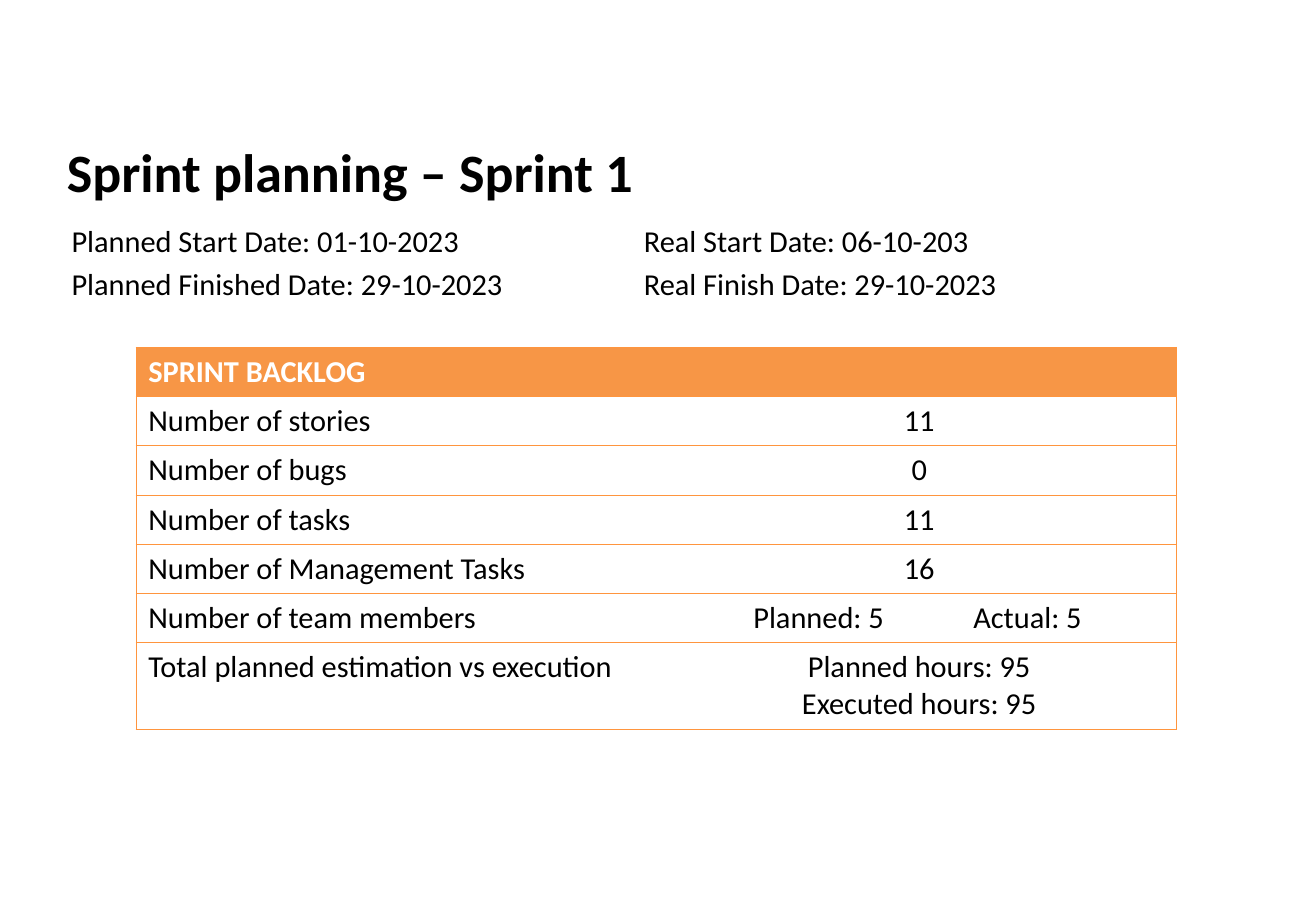
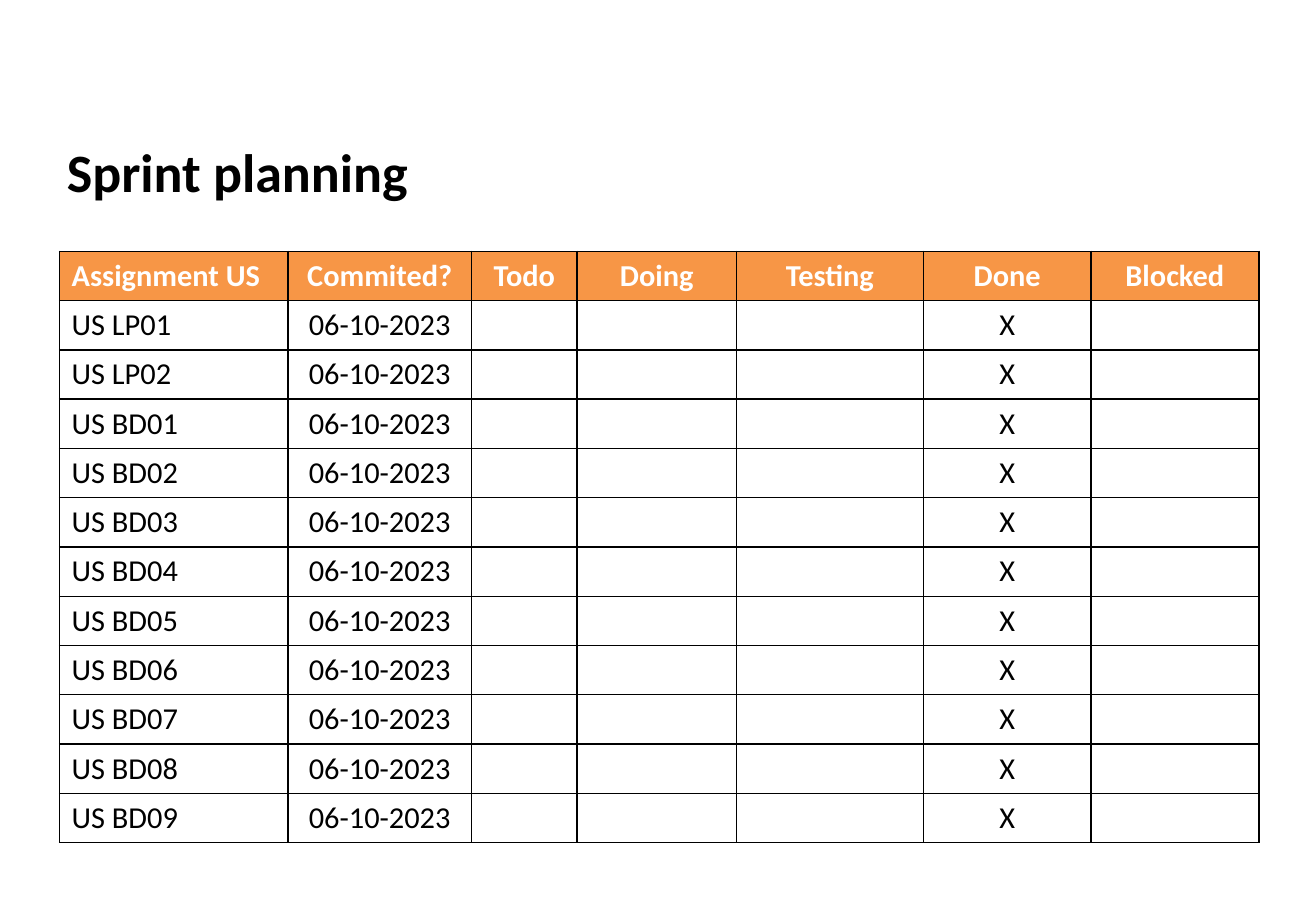
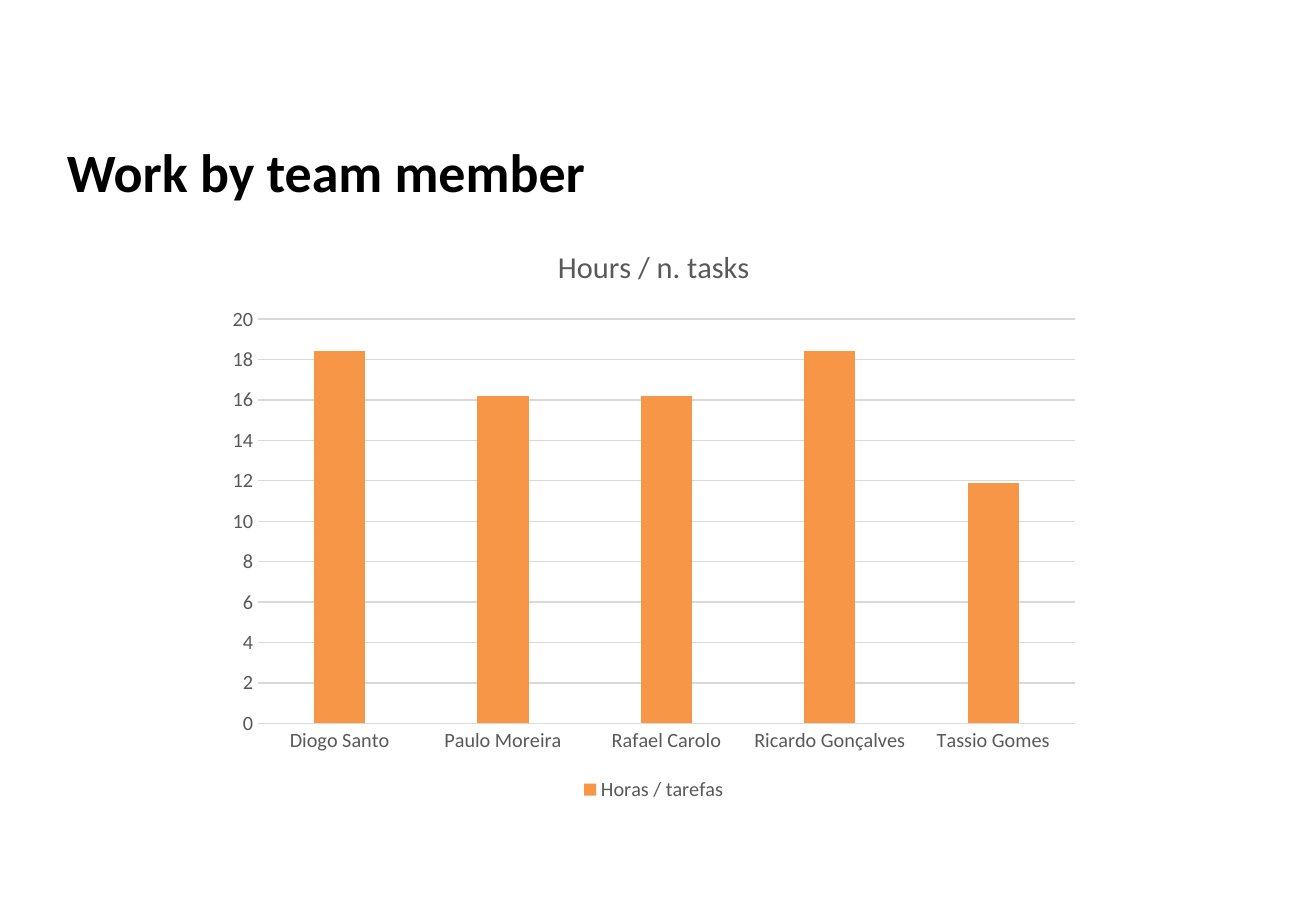
from dataclasses import dataclass

from lxml.etree import SubElement
from pptx import Presentation
from pptx.chart.data import CategoryChartData
from pptx.dml.color import RGBColor
from pptx.enum.chart import XL_CHART_TYPE, XL_LEGEND_POSITION, XL_TICK_MARK
from pptx.enum.text import MSO_ANCHOR, MSO_AUTO_SIZE, PP_ALIGN
from pptx.oxml import parse_xml
from pptx.oxml.ns import nsdecls, qn
from pptx.util import Inches, Pt


@dataclass(frozen=True)
class Theme:
    font: str = "Calibri"
    ink: str = "000000"
    paper: str = "FFFFFF"
    accent: str = "F79646"
    rule: str = "FF953E"
    muted: str = "595959"
    grid: str = "D9D9D9"
    title_size: int = 32
    body_size: int = 18
    label_size: int = 12


THEME = Theme()
SLIDE_SIZE = (10.83, 7.5)
TITLE_BOX = (0.45, 1.09, 9.89, 0.63)
ROW_HEIGHT = Pt(29.2)

# Content
SPRINT_TITLE = "Sprint planning – Sprint 1"
SPRINT_DATES = [
    "Planned Start Date: 01-10-2023\tReal Start Date: 06-10-203",
    "Planned Finished Date: 29-10-2023\tReal Finish Date: 29-10-2023",
]
BACKLOG = [
    ("SPRINT BACKLOG", ""),
    ("Number of stories", "11"),
    ("Number of bugs", "0"),
    ("Number of tasks", "11"),
    ("Number of Management Tasks", "16"),
    ("Number of team members", "Planned: 5\tActual: 5"),
    ("Total planned estimation vs execution",
     "Planned hours: 95\nExecuted hours: 95"),
]
BACKLOG_COLUMNS = (4.33, 4.23)

BOARD_TITLE = "Sprint planning"
BOARD_HEADER = ("Assignment US", "Commited?", "Todo", "Doing", "Testing",
                "Done", "Blocked")
STORIES = ["LP01", "LP02"] + [f"BD{number:02}" for number in range(1, 10)]
BOARD = [BOARD_HEADER] + [
    (f"US {story}", "06-10-2023", "", "", "", "X", "") for story in STORIES
]
BOARD_COLUMNS = (1.88, 1.51, 0.87, 1.31, 1.54, 1.38, 1.38)

WORK_TITLE = "Work by team member"
WORK_CHART_TITLE = "Hours / n. tasks"
WORK_SERIES = "Horas / tarefas"
WORK_HOURS = {
    "Diogo Santo": 18.4,
    "Paulo Moreira": 16.2,
    "Rafael Carolo": 16.2,
    "Ricardo Gonçalves": 18.4,
    "Tassio Gomes": 11.9,
}


# Helpers
def rgb(color):
    return RGBColor.from_string(color)


def inches(box):
    return [Inches(length) for length in box]


def style_font(font, size, color, bold=False):
    font.name, font.size, font.bold = THEME.font, Pt(size), bold
    font.color.rgb = rgb(color)


def write(frame, text, size=THEME.body_size, color=THEME.ink, bold=False,
          align=PP_ALIGN.LEFT, space_after=0, tab=None):
    frame.word_wrap = True
    frame.text = text
    for paragraph in frame.paragraphs:
        paragraph.alignment = align
        paragraph.space_after = Pt(space_after)
        style_font(paragraph.font, size, color, bold)
        for run in paragraph.runs:
            style_font(run.font, size, color, bold)
        if tab:
            stops = parse_xml(f'<a:tabLst {nsdecls("a")}><a:tab '
                              f'pos="{Inches(tab)}" algn="l"/></a:tabLst>')
            properties = paragraph._p.get_or_add_pPr()
            properties.find(qn("a:spcAft")).addnext(stops)


def add_titled_slide(deck, title):
    slide = deck.slides.add_slide(deck.slide_layouts.get_by_name("Title Only"))
    heading = slide.shapes.title
    heading.left, heading.top, heading.width, heading.height = inches(TITLE_BOX)
    write(heading.text_frame, title, size=THEME.title_size, bold=True)
    heading.text_frame.auto_size = MSO_AUTO_SIZE.NONE
    heading.text_frame.vertical_anchor = MSO_ANCHOR.MIDDLE
    return slide


def set_borders(cell, sides, color, width):
    properties = cell._tc.get_or_add_tcPr()
    for position, side in enumerate("LRTB"):
        line = SubElement(properties, qn(f"a:ln{side}"), w=str(Pt(width)))
        if side in sides:
            fill = SubElement(line, qn("a:solidFill"))
            SubElement(fill, qn("a:srgbClr"), val=color)
        else:
            SubElement(line, qn("a:noFill"))
        properties.insert(position, line)


def add_grid(slide, rows, columns, left, top, color, width, inner_lines):
    table = slide.shapes.add_table(
        len(rows), len(columns), Inches(left), Inches(top),
        Inches(sum(columns)), ROW_HEIGHT * len(rows)).table
    table.horz_banding = False
    for column, column_width in zip(table.columns, columns):
        column.width = Inches(column_width)
    for r, values in enumerate(rows):
        table.rows[r].height = ROW_HEIGHT
        for c, value in enumerate(values):
            cell, header = table.cell(r, c), r == 0
            cell.fill.solid()
            cell.fill.fore_color.rgb = rgb(THEME.accent if header else THEME.paper)
            write(cell.text_frame, value, bold=header,
                  color=THEME.paper if header else THEME.ink,
                  align=PP_ALIGN.CENTER if c else PP_ALIGN.LEFT)
            sides = "TB"
            if inner_lines or c == 0:
                sides += "L"
            if inner_lines or c == len(columns) - 1:
                sides += "R"
            set_borders(cell, sides, color, width)
    return table


# Slides
def build_sprint(deck):
    slide = add_titled_slide(deck, SPRINT_TITLE)
    table = add_grid(slide, BACKLOG, BACKLOG_COLUMNS, 1.12, 2.86,
                     THEME.rule, 0.75, inner_lines=False)
    table.rows[len(BACKLOG) - 1].height = Pt(51)
    team = table.cell(5, 1)
    team.margin_left = Inches(0.75)
    write(team.text_frame, BACKLOG[5][1], tab=1.81)
    dates = slide.shapes.add_textbox(*inches((0.49, 1.78, 9.89, 0.78)))
    write(dates.text_frame, "\n".join(SPRINT_DATES), space_after=4, tab=4.71)


def build_board(deck):
    slide = add_titled_slide(deck, BOARD_TITLE)
    add_grid(slide, BOARD, BOARD_COLUMNS, 0.49, 2.07, THEME.ink, 1,
             inner_lines=True)


def build_work(deck):
    slide = add_titled_slide(deck, WORK_TITLE)
    hours = CategoryChartData()
    hours.categories = list(WORK_HOURS)
    hours.add_series(WORK_SERIES, list(WORK_HOURS.values()))
    chart = slide.shapes.add_chart(
        XL_CHART_TYPE.COLUMN_CLUSTERED, *inches((1.77, 1.83, 7.22, 4.81)),
        hours).chart
    style_font(chart.font, THEME.label_size, THEME.muted)
    write(chart.chart_title.text_frame, WORK_CHART_TITLE, color=THEME.muted,
          align=PP_ALIGN.CENTER)
    chart.chart_title.include_in_layout = False

    # Bars
    plot = chart.plots[0]
    plot.gap_width, plot.overlap, plot.vary_by_categories = 219, -27, False
    bars = plot.series[0].format.fill
    bars.solid()
    bars.fore_color.rgb = rgb(THEME.accent)

    # Axes and legend
    members, scale = chart.category_axis, chart.value_axis
    for axis in (members, scale):
        axis.major_tick_mark = axis.minor_tick_mark = XL_TICK_MARK.NONE
        style_font(axis.tick_labels.font, THEME.label_size, THEME.muted)
    scale.minimum_scale, scale.maximum_scale, scale.major_unit = 0, 20, 2
    scale.format.line.fill.background()
    for line in (members.format.line, scale.major_gridlines.format.line):
        line.color.rgb = rgb(THEME.grid)
        line.width = Pt(0.75)
    chart.has_legend = True
    chart.legend.position = XL_LEGEND_POSITION.BOTTOM
    chart.legend.include_in_layout = False
    style_font(chart.legend.font, THEME.label_size, THEME.muted)


def main():
    deck = Presentation()
    deck.slide_width, deck.slide_height = inches(SLIDE_SIZE)
    for build in (build_sprint, build_board, build_work):
        build(deck)
    deck.save("out.pptx")


if __name__ == "__main__":
    main()
